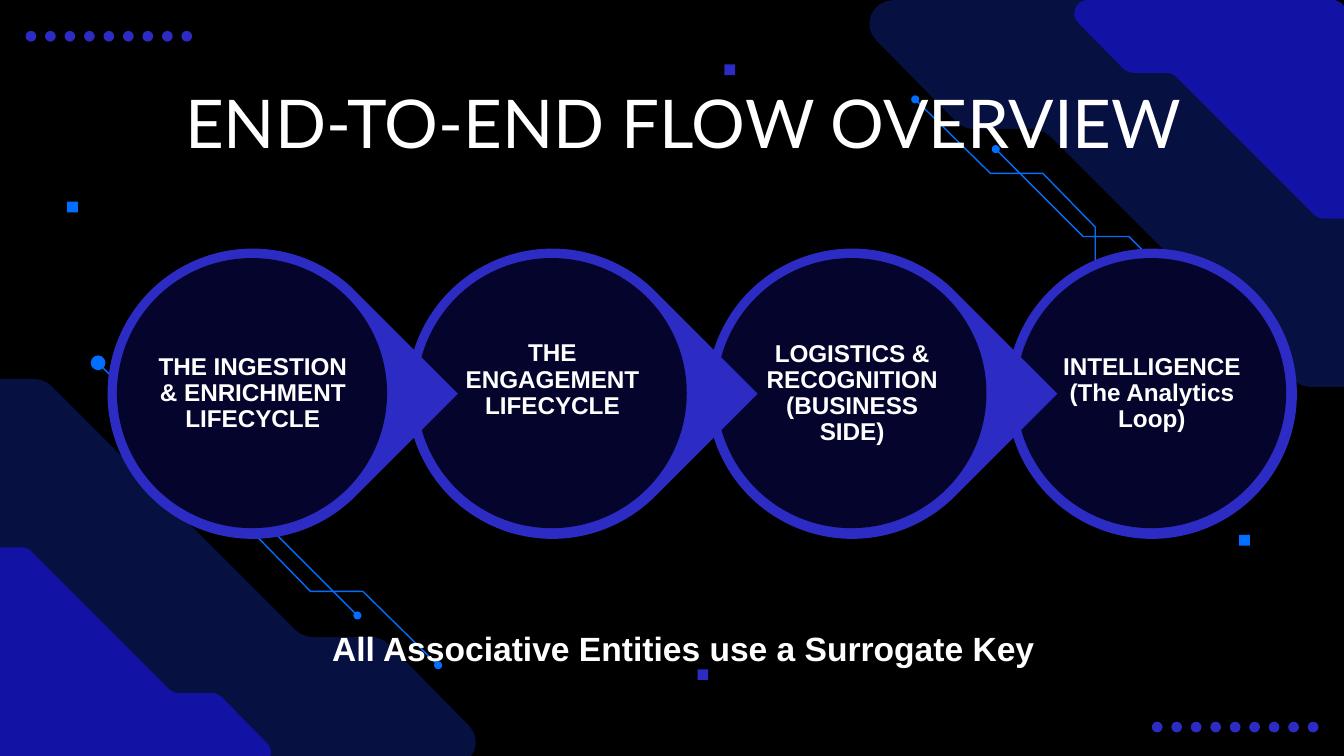
import dataclasses

import lxml.etree
import pptx
import pptx.dml.color
import pptx.enum.shapes
import pptx.enum.text
import pptx.oxml.ns
import pptx.util

Inches = pptx.util.Inches
FORMS = pptx.enum.shapes.MSO_SHAPE
ANCHOR = pptx.enum.text.MSO_ANCHOR


@dataclasses.dataclass(frozen=True)
class Theme:
    back: str = "000000"
    text: str = "FFFFFF"
    ring: str = "2C2CC5"
    disc: str = "00001C"
    navy: str = "061041"
    blue: str = "1212A5"
    trace: str = "006EFF"
    head: str = "Lato"
    body: str = "Arial"
    title: int = 36
    note: int = 18
    label: int = 13


THEME = Theme()

# Corner band: pairs are line ends, sixes are cubic curves
BAND = [
    (3.66, 2.88), (3.35, 2.88), (3.3, 2.88, 3.25, 2.86, 3.22, 2.83),
    (1.4, 1.01), (1.36, 0.98, 1.32, 0.96, 1.27, 0.96),
    (0.84, 0.96), (0.79, 0.96, 0.75, 0.94, 0.71, 0.91),
    (0.11, 0.3), (0, 0.19, 0.08, 0, 0.24, 0),
    (3.46, 0), (3.56, 0, 3.64, 0.08, 3.64, 0.18), (3.65, 2.91),
]
TRACES = [
    [(6.81, 0.74), (7.37, 1.29), (7.76, 1.29), (8.15, 1.69), (8.15, 1.96),
     (8.59, 2.39)],
    [(7.41, 1.11), (8.06, 1.76), (8.4, 1.76), (8.84, 2.2), (8.84, 2.49),
     (9.31, 2.96)],
]
# Text and upward shift of each stage
STAGES = [
    ("THE INGESTION & ENRICHMENT LIFECYCLE", 0),
    ("THE ENGAGEMENT LIFECYCLE", 0.1),
    ("LOGISTICS & RECOGNITION\n(BUSINESS SIDE)", 0),
    ("INTELLIGENCE (The Analytics Loop)", 0),
]


def rgb(code):
    return pptx.dml.color.RGBColor.from_string(code)


def add_form(slide, kind, x, y, size, color, turn=0, alpha=None):
    form = slide.shapes.add_shape(kind, *map(Inches, (x, y, size, size)))
    form.shadow.inherit = False
    form.fill.solid()
    form.fill.fore_color.rgb = rgb(color)
    form.line.fill.background()
    form.rotation = turn
    if alpha is not None:
        tag = pptx.oxml.ns.qn("a:srgbClr")
        node = next(form._element.spPr.iter(tag))
        lxml.etree.SubElement(node, pptx.oxml.ns.qn("a:alpha"),
                              val=str(alpha * 1000))


def add_text(slide, text, box, size, font=THEME.body, bold=False,
             anchor=ANCHOR.TOP, pad=(0.1, 0.05), space=1.0):
    frame = slide.shapes.add_textbox(*map(Inches, box)).text_frame
    frame.word_wrap = True
    frame.vertical_anchor = anchor
    frame.margin_left = frame.margin_right = Inches(pad[0])
    frame.margin_top = frame.margin_bottom = Inches(pad[1])
    para = frame.paragraphs[0]
    para.text = text
    para.alignment = pptx.enum.text.PP_ALIGN.CENTER
    para.line_spacing = space
    para.font.size = pptx.util.Pt(size)
    for run in para.runs:
        run.font.name = font
        run.font.size = pptx.util.Pt(size)
        run.font.bold = bold
        run.font.color.rgb = rgb(THEME.text)


def add_path(slide, points, color, closed):
    spots = [(Inches(x), Inches(y)) for x, y in points]
    pen = slide.shapes.build_freeform(*spots[0])
    pen.add_line_segments(spots[1:], close=closed)
    form = pen.convert_to_shape()
    form.shadow.inherit = False
    if closed:
        form.fill.solid()
        form.fill.fore_color.rgb = rgb(color)
        form.line.fill.background()
    else:
        form.fill.background()
        form.line.color.rgb = rgb(color)
        form.line.width = pptx.util.Pt(0.75)


def smooth(parts, steps=8):
    """Turn the curves among the parts into short lines."""
    points = []
    for part in parts:
        if len(part) == 2:
            points.append(part)
            continue
        ends = [points[-1], part[:2], part[2:4], part[4:]]
        for step in range(1, steps + 1):
            t = step / steps
            u = 1 - t
            mix = (u**3, 3 * u * u * t, 3 * u * t * t, t**3)
            points.append(tuple(sum(m * e[axis] for m, e in zip(mix, ends))
                                for axis in (0, 1)))
    return points


def spin(points, width, height):
    """Give the points a half turn."""
    return [(width - x, height - y) for x, y in points]


def add_corner(slide, turned):
    for left, scale, color in ((6.41, 1, THEME.navy),
                               (7.96, 0.565, THEME.blue)):
        points = [(left + x * scale, y * scale) for x, y in smooth(BAND)]
        if turned:
            points = spin(points, 10.01, 5.7)
        add_path(slide, points, color, True)
    for trace in TRACES:
        points = spin(trace, 10.07, 5.69) if turned else trace
        add_path(slide, points, THEME.trace, False)
        for (x, y), size, gap in ((points[0], 0.06, 0),
                                  (points[-1], 0.11, 0.03)):
            # Large end dots sit just past the line
            gap = -gap if turned else gap
            add_form(slide, FORMS.OVAL, x + gap - size / 2,
                     y + gap - size / 2, size, THEME.trace)


def add_stage(slide, x, text, lift, last):
    kind, turn = (FORMS.OVAL, 0) if last else (FORMS.TEAR, 45)
    add_form(slide, kind, x, 1.85, 2.16, THEME.ring, turn=turn)
    add_form(slide, FORMS.OVAL, x + 0.07, 1.92, 2.01, THEME.disc, alpha=90)
    add_text(slide, text, (x + 0.36, 2.21 - lift, 1.44, 1.44), THEME.label,
             bold=True, anchor=ANCHOR.MIDDLE, pad=(0.02, 0.02), space=0.9)


def main():
    deck = pptx.Presentation()
    deck.slide_width = Inches(10)
    deck.slide_height = deck.slide_width * 9 // 16
    slide = deck.slides.add_slide(deck.slide_layouts[6])
    slide.background.fill.solid()
    slide.background.fill.fore_color.rgb = rgb(THEME.back)

    # Dot rows and small squares
    for left, top in ((0.19, 0.23), (8.57, 5.37)):
        for step in range(9):
            add_form(slide, FORMS.OVAL, left + step * 0.145, top, 0.08,
                     THEME.ring)
    for x, y, color in ((0.5, 1.5, THEME.trace), (5.39, 0.48, THEME.ring),
                        (9.22, 3.98, THEME.trace), (5.19, 4.98, THEME.ring)):
        add_form(slide, FORMS.RECTANGLE, x, y, 0.08, color)

    # Corners
    for turned in (True, False):
        add_corner(slide, turned)

    # Title
    add_text(slide, "END-TO-END FLOW OVERVIEW", (1, -0.28, 8.17, 1.59),
             THEME.title, font=THEME.head, anchor=ANCHOR.BOTTOM,
             pad=(0.1, 0.1), space=0.9)

    # Stages, last one first so that each point overlaps the next ring
    final = len(STAGES) - 1
    for step in range(final, -1, -1):
        text, lift = STAGES[step]
        add_stage(slide, 0.8 + step * 2.23, text, lift, step == final)

    # Closing note
    add_text(slide, "All Associative Entities use a Surrogate Key",
             (1.87, 4.62, 6.43, 0.4), THEME.note, bold=True)

    deck.save("out.pptx")


if __name__ == "__main__":
    main()
